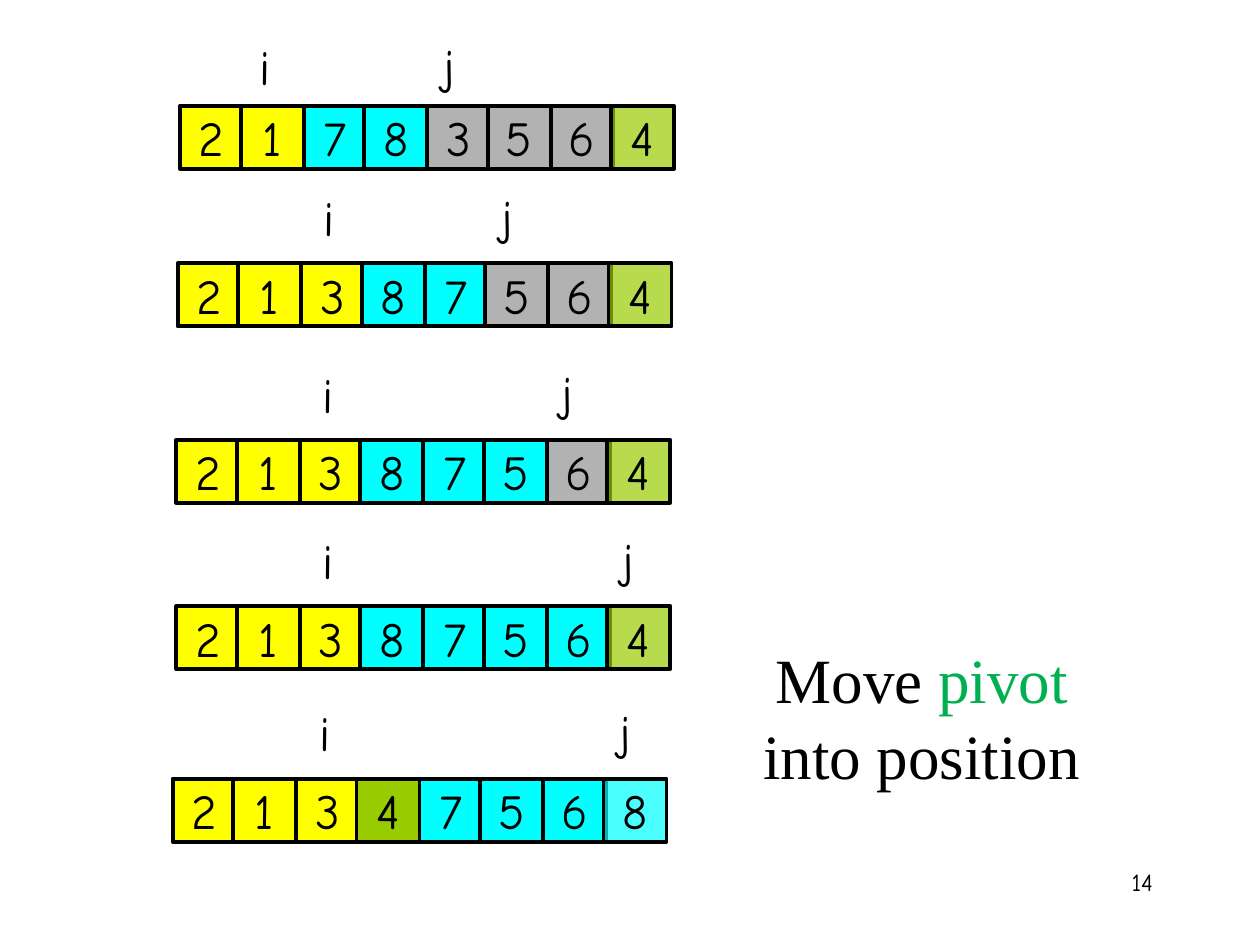
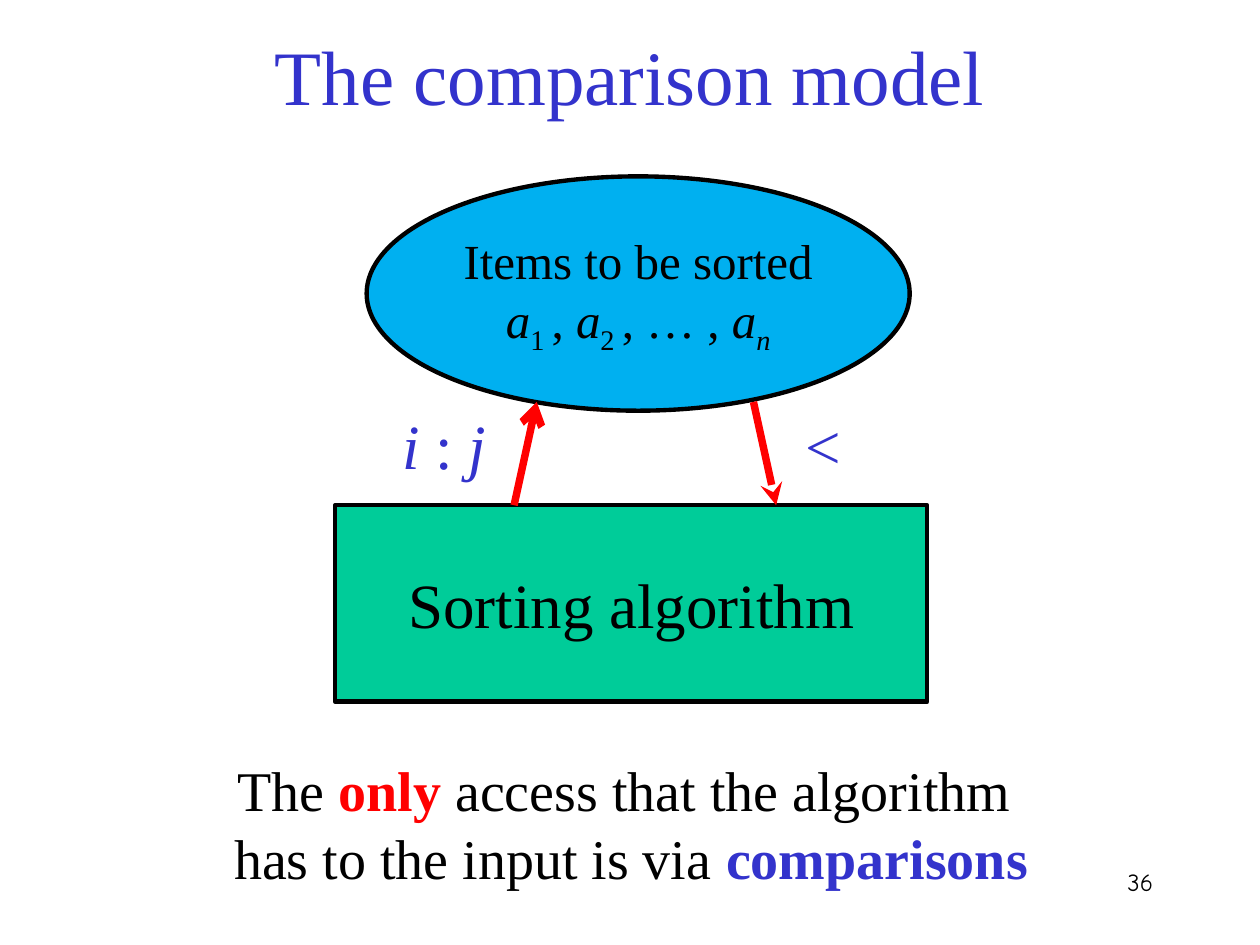
from lxml import etree
from pptx import Presentation
from pptx.dml.color import RGBColor
from pptx.enum.shapes import MSO_CONNECTOR as Connector, MSO_SHAPE as Shape
from pptx.enum.text import MSO_ANCHOR as Anchor, PP_ALIGN as Align
from pptx.oxml.ns import qn
from pptx.util import Inches, Pt

COLORS = {
    "black": "000000", "white": "FFFFFF", "red": "FF0000", "blue": "3333CC",
    "yellow": "FFFF00", "cyan": "00FFFF", "gray": "B2B2B2", "lime": "99CC00",
    "pivot": "00B050", "sky": "00B0F0", "teal": "00CC99",
}
SERIF, HAND = "Times New Roman", "Comic Neue"


class Deck:
    """Holds the shared style and the current slide."""

    def __init__(self):
        self.prs = Presentation()
        self.prs.slide_width, self.prs.slide_height = Inches(10), Inches(7.5)
        self.slide = None

    def color(self, name):
        return RGBColor.from_string(COLORS[name])

    def new_slide(self, number):
        self.slide = self.prs.slides.add_slide(self.prs.slide_layouts[6])
        background = self.slide.background.fill
        background.solid()
        background.fore_color.rgb = self.color("white")
        self.text((7.17, 6.83, 2.08, 0.5), [[(str(number), {})]], 14,
                  font=HAND, align=Align.RIGHT)

    def add_paragraphs(self, frame, paragraphs, size, font, color, align):
        """Each paragraph is a list of (text, style) runs; a newline breaks the line."""
        for index, runs in enumerate(paragraphs):
            paragraph = frame.paragraphs[0] if index == 0 else frame.add_paragraph()
            paragraph.alignment = align
            for text, style in runs:
                for line, piece in enumerate(text.split("\n")):
                    if line:
                        paragraph.add_line_break()
                    if piece:
                        self.add_run(paragraph, piece, size, font,
                                     **{"color": color, **style})

    def add_run(self, paragraph, text, size, font, color,
                bold=False, italic=False, subscript=False):
        run = paragraph.add_run()
        run.text = text
        run.font.size, run.font.name = Pt(size), font
        run.font.bold, run.font.italic = bold, italic
        run.font.color.rgb = self.color(color)
        if subscript:
            run._r.get_or_add_rPr().set("baseline", "-25000")

    def text(self, box, paragraphs, size, font=SERIF, color="black",
             align=Align.CENTER, anchor=Anchor.TOP, shapes=None):
        shapes = self.slide.shapes if shapes is None else shapes
        frame = shapes.add_textbox(*map(Inches, box)).text_frame
        frame.word_wrap = True
        frame.vertical_anchor = anchor
        self.add_paragraphs(frame, paragraphs, size, font, color, align)

    def shape(self, kind, box, fill, paragraphs, size, font=SERIF,
              line_width=2.5, wrap=True, opacity=100, shapes=None):
        shapes = self.slide.shapes if shapes is None else shapes
        shape = shapes.add_shape(kind, *map(Inches, box))
        shape.shadow.inherit = False
        shape.fill.solid()
        shape.fill.fore_color.rgb = self.color(fill)
        if opacity < 100:
            tint = shape._element.spPr.find(qn("a:solidFill"))[0]
            etree.SubElement(tint, qn("a:alpha")).set("val", str(opacity * 1000))
        shape.line.color.rgb = self.color("black")
        shape.line.width = Pt(line_width)
        shape.text_frame.word_wrap = wrap
        shape.text_frame.vertical_anchor = Anchor.MIDDLE
        self.add_paragraphs(shape.text_frame, paragraphs, size, font, "black",
                            Align.CENTER)

    def arrow(self, start, end, end_tag, head):
        arrow = self.slide.shapes.add_connector(
            Connector.STRAIGHT, *map(Inches, start + end))
        arrow.line.color.rgb = self.color("red")
        arrow.line.width = Pt(4.25)
        properties = arrow._element.spPr
        etree.SubElement(properties.find(qn("a:ln")), qn(end_tag)).set("type", head)
        etree.SubElement(properties, qn("a:effectLst"))

    def array(self, left, top, values, fills, marker_top, i_offset, j_offset):
        """A row of cells with the index markers i and j above it."""
        shapes = self.slide.shapes.add_group_shape().shapes
        for column, (value, fill) in enumerate(zip(values, fills)):
            x = left + column // 2 * 0.98 + column % 2 * 0.48
            last = column == len(values) - 1
            self.shape(Shape.RECTANGLE, (x, top, 0.5, 0.5), fill, [[(value, {})]],
                       28, HAND, line_width=2.25, wrap=False,
                       opacity=70 if last else 100, shapes=shapes)
        for marker, offset, y in (("i", i_offset, marker_top),
                                  ("j", j_offset, marker_top - 0.01)):
            self.text((left + offset, y, 0.47, 0.57), [[(marker, {})]], 28,
                      font=HAND, align=Align.LEFT, shapes=shapes)


def partition_fills(small, large, unseen):
    return ["yellow"] * small + ["cyan"] * large + ["gray"] * unseen + ["lime"]


def partition_slide(deck):
    deck.new_slide(14)
    # Partition steps: left, top, values, fills, marker top, offsets of i and j
    final_fills = ["yellow"] * 3 + ["lime"] + ["cyan"] * 4
    steps = [
        (1.43, 0.84, "21783564", partition_fills(2, 2, 3), 0.24, 0.53, 1.99),
        (1.41, 2.09, "21387564", partition_fills(3, 2, 2), 1.44, 1.06, 2.47),
        (1.40, 3.49, "21387564", partition_fills(3, 3, 1), 2.84, 1.06, 2.96),
        (1.40, 4.81, "21387564", partition_fills(3, 4, 0), 4.16, 1.06, 3.44),
        (1.37, 6.18, "21347568", final_fills, 5.53, 1.07, 3.45),
    ]
    for step in steps:
        deck.array(*step)
    # Remark on the last step
    remark = [("Move ", {}), ("pivot\n", {"color": "pivot"}), ("into position", {})]
    deck.text((5.37, 5.03, 3.89, 1.31), [remark], 36, anchor=Anchor.MIDDLE)


def comparison_slide(deck):
    deck.new_slide(36)
    italic, sub = {"italic": True}, {"subscript": True}
    # Algorithm and items
    deck.shape(Shape.RECTANGLE, (2.66, 4.01, 4.7, 1.56), "teal",
               [[("Sorting algorithm", {})]], 36)
    items = [("a", italic), ("1 ", sub), (", ", {}), ("a", italic), ("2 ", sub),
             (", … , ", {}), ("a", italic), ("n", {**italic, **sub})]
    deck.shape(Shape.OVAL, (2.91, 1.4, 4.31, 1.86), "sky",
               [[("Items to be sorted", {})], items], 28)
    # Title
    deck.text((0, 0.18, 10, 0.84), [[("The comparison model", {})]], 44, color="blue")
    # Conclusion
    conclusion = [("The ", {}), ("only", {"color": "red", "bold": True}),
                  (" access that the algorithm \nhas to the input is via ", {}),
                  ("comparisons", {"color": "blue", "bold": True})]
    deck.text((0.01, 5.95, 10, 1.18), [conclusion], 32)
    # Query up, answer down
    deck.arrow((4.08, 4.01), (4.26, 3.19), "a:tailEnd", "arrow")
    deck.arrow((6.16, 4.01), (5.98, 3.19), "a:headEnd", "stealth")
    query = [("i", italic), (" : ", {}), ("j", italic)]
    for left, label in ((3.02, query), (6.03, [("<", {})])):
        deck.text((left, 3.18, 1.01, 0.71), [label], 36, color="blue")


def main():
    deck = Deck()
    partition_slide(deck)
    comparison_slide(deck)
    deck.prs.save("out.pptx")


if __name__ == "__main__":
    main()
